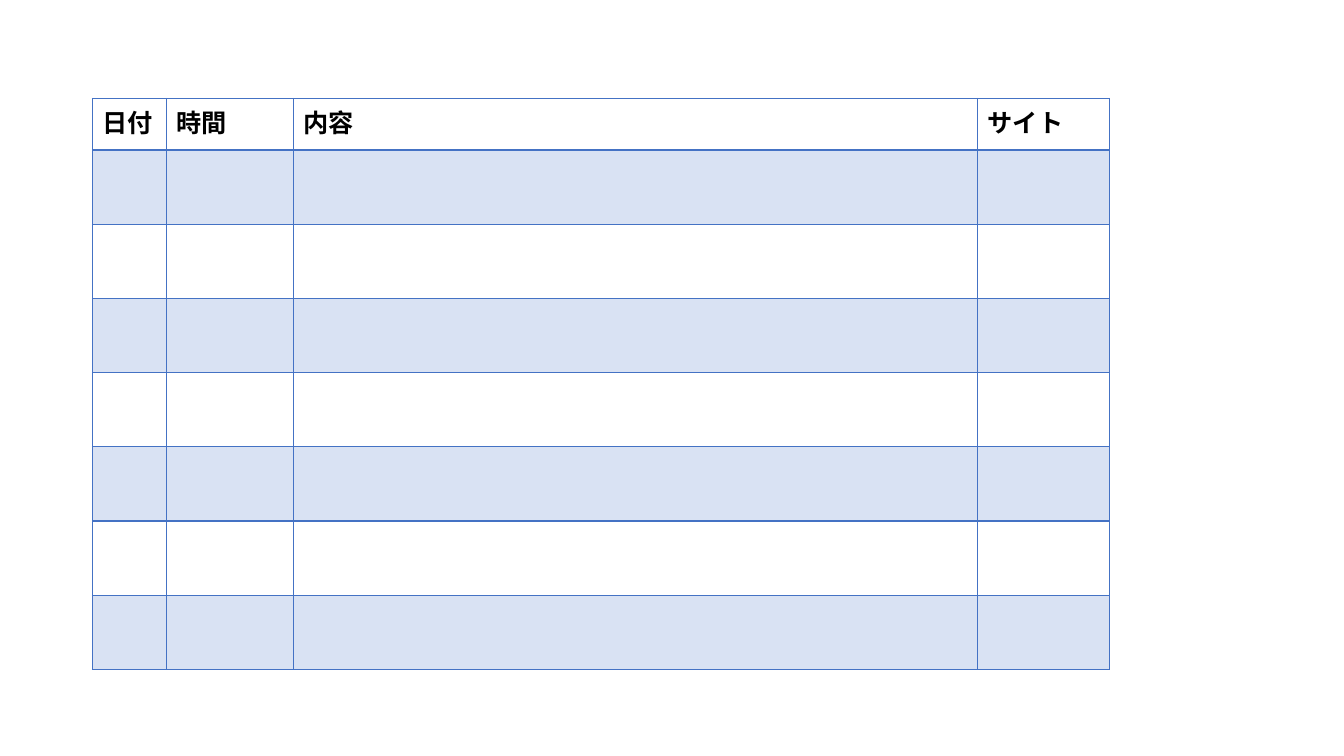
from lxml import etree
from pptx import Presentation
from pptx import util as u
from pptx.dml.color import RGBColor
from pptx.enum import text
from pptx.oxml.ns import qn

BLUE = RGBColor(0x44, 0x72, 0xC4)
BLACK = RGBColor(0, 0, 0)
FONT = "Noto Sans CJK JP"
HEADINGS = ["日付", "時間", "内容", "サイト"]
COLUMN_WIDTHS = [53, 90.6, 488.7, 94.2]
HEADER_HEIGHT, ROW_HEIGHT, BODY_ROWS = 36.8, 53, 7
TINT_ALPHA = "20000"
HEADING_FORMAT = {"name": FONT, "size": u.Pt(18), "bold": True}


def add_border(cell, side, width):
    line = etree.SubElement(cell._tc.get_or_add_tcPr(), qn(f"a:ln{side}"), w=str(u.Pt(width)))
    fill = etree.SubElement(line, qn("a:solidFill"))
    etree.SubElement(fill, qn("a:srgbClr"), val=str(BLUE))


deck = Presentation()
deck.slide_width, deck.slide_height = u.Pt(960), u.Pt(540)
page = deck.slides.add_slide(deck.slide_layouts[6])

frame = page.shapes.add_table(
    BODY_ROWS + 1, len(HEADINGS), u.Pt(66), u.Pt(70.4),
    u.Pt(sum(COLUMN_WIDTHS)), u.Pt(HEADER_HEIGHT + BODY_ROWS * ROW_HEIGHT))
schedule = frame.table
schedule.horz_banding = False

for column, width in zip(schedule.columns, COLUMN_WIDTHS):
    column.width = u.Pt(width)

for row_index, row in enumerate(schedule.rows):
    row.height = u.Pt(ROW_HEIGHT if row_index else HEADER_HEIGHT)
    border_widths = {"L": 1, "R": 1,
                     "T": 2 if row_index == 1 else 1,
                     "B": 2 if row_index == 0 else 1}
    for cell in row.cells:
        for side, width in border_widths.items():
            add_border(cell, side, width)
        if row_index % 2:
            cell.fill.solid()
            cell.fill.fore_color.rgb = BLUE
            tint = cell._tc.tcPr.find(qn("a:solidFill")).find(qn("a:srgbClr"))
            etree.SubElement(tint, qn("a:alpha"), val=TINT_ALPHA)
        else:
            cell.fill.background()

for column_index, heading in enumerate(HEADINGS):
    cell = schedule.cell(0, column_index)
    cell.vertical_anchor = text.MSO_ANCHOR.TOP
    span = cell.text_frame.paragraphs[0].add_run()
    span.text = heading
    for name, value in HEADING_FORMAT.items():
        setattr(span.font, name, value)
    span.font.color.rgb = BLACK
    etree.SubElement(span._r.get_or_add_rPr(), qn("a:ea"), typeface=FONT)

deck.save("out.pptx")
